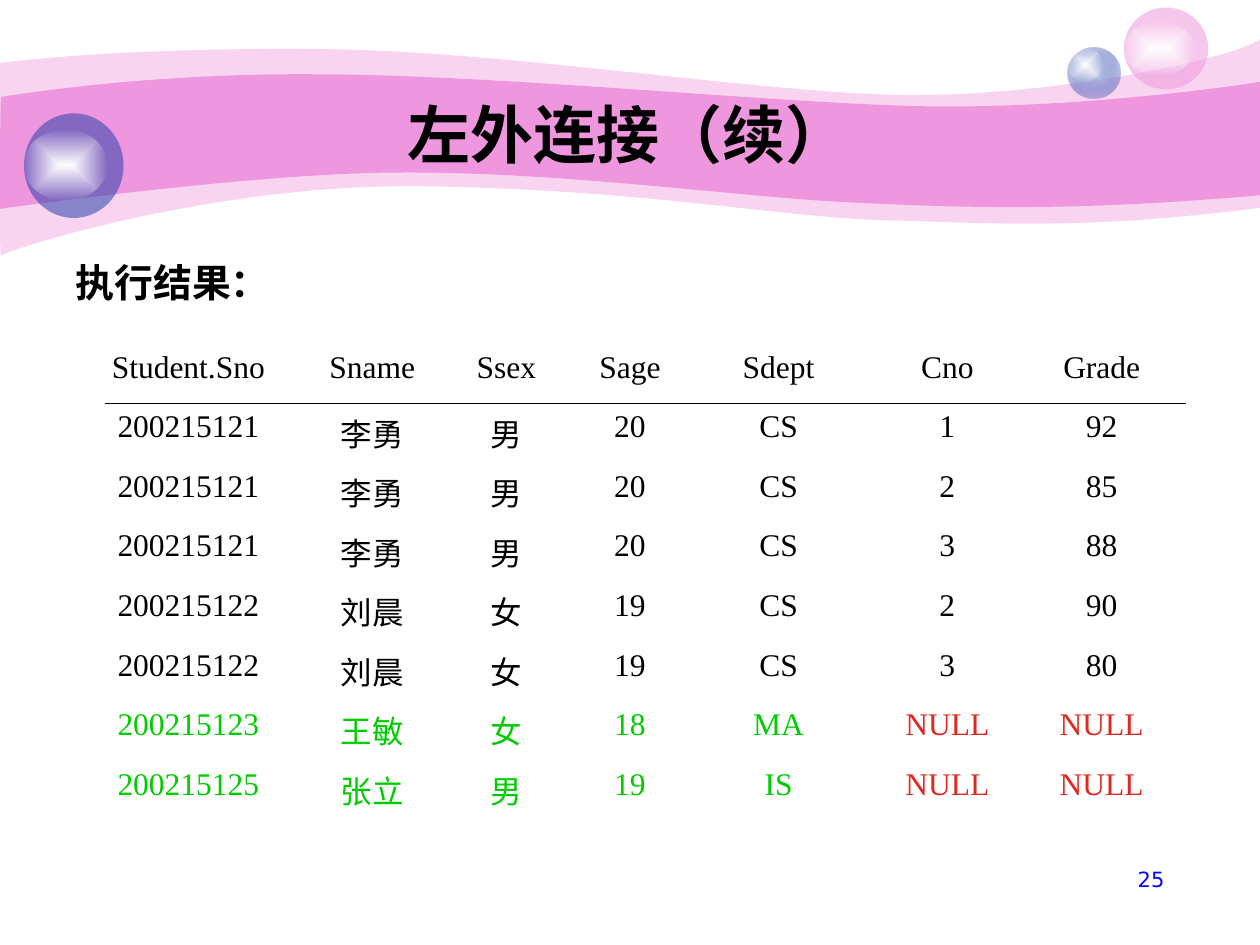
import lxml.etree
import pptx
import pptx.dml.color
import pptx.enum.shapes
import pptx.enum.text
import pptx.oxml
import pptx.oxml.ns
import pptx.util
from dataclasses import dataclass

Inches = pptx.util.Inches
ALIGN = pptx.enum.text.PP_ALIGN
ANCHOR = pptx.enum.text.MSO_ANCHOR
qn = pptx.oxml.ns.qn


@dataclass(frozen=True)
class Theme:
    """Colours, fonts and type sizes of the slide."""
    pink: str = "EF97DE"
    blue: str = "233DA9"
    pale_blue: str = "C7CEE9"
    white: str = "FFFFFF"
    black: str = "000000"
    green: str = "00CC00"
    red: str = "E02920"
    page_blue: str = "0000FF"
    heading_font: str = "Arial"
    table_font: str = "Times New Roman"
    page_font: str = "DejaVu Sans"
    title_size: float = 36
    body_size: float = 22.2
    table_size: float = 18
    page_size: float = 12


T = Theme()
OUTER_WAVE = [
    [(0, 0.5)],
    [(0.24, 0.47), (1.07, 0.38), (2.47, 0.39)],
    [(3.86, 0.39), (5.75, 0.7), (6.99, 0.75)],
    [(8.22, 0.8), (9.8, 0.47), (10, 0.31)],
    [(10, 1.65)],
    [(8.58, 1.83), (7.87, 1.77), (7.05, 1.75)],
    [(6.22, 1.73), (5.15, 1.51), (3.43, 1.48)],
    [(1.72, 1.44), (0.04, 1.99), (0.01, 2.03)],
    [(-0.01, 2.08), (0, 0.75), (0, 0.5)],
]
INNER_WAVE = [
    [(0.01, 0.77)],
    [(0.02, 0.77), (1.1, 0.58), (2.48, 0.59)],
    [(3.86, 0.59), (5.95, 0.8), (7.18, 0.84)],
    [(8.41, 0.88), (9.76, 0.69), (10, 0.65)],
    [(10, 1.55)],
    [(8.53, 1.68), (7.65, 1.65), (6.82, 1.61)],
    [(5.99, 1.58), (4.47, 1.36), (3.17, 1.37)],
    [(2.03, 1.37), (-0.02, 1.66), (-0.01, 1.66)],
    [(0, 1.66), (0, 0.77), (0.01, 0.77)],
]
HEADER = ["Student.Sno", "Sname", "Ssex", "Sage", "Sdept", "Cno", "Grade"]
ROWS = [
    ["200215121", "李勇", "男", "20", "CS", "1", "92"],
    ["200215121", "李勇", "男", "20", "CS", "2", "85"],
    ["200215121", "李勇", "男", "20", "CS", "3", "88"],
    ["200215122", "刘晨", "女", "19", "CS", "2", "90"],
    ["200215122", "刘晨", "女", "19", "CS", "3", "80"],
    ["200215123", "王敏", "女", "18", "MA", "NULL", "NULL"],
    ["200215125", "张立", "男", "19", "IS", "NULL", "NULL"],
]
COLUMNS = [1.81, 1.11, 1.02, 0.94, 1.42, 1.26, 1.19]


def rgb(value):
    """Return a colour object for a hex string."""
    return pptx.dml.color.RGBColor.from_string(value)


def set_text(tf, text, font, size, color, align, bold=False):
    """Write one formatted paragraph into a text frame."""
    p = tf.paragraphs[0]
    for name, value in dict(alignment=align, space_before=pptx.util.Pt(0)).items():
        setattr(p, name, value)
    r = p.add_run()
    r.text = text
    fmt = dict(name=font, size=pptx.util.Pt(size), bold=bold)
    for name, value in fmt.items():
        setattr(r.font, name, value)
    r.font.color.rgb = rgb(color)
    return p


def set_fill(sp, color, alpha=100):
    """Give a shape a plain, possibly transparent fill without line or shadow."""
    sp.shadow.inherit = False
    sp.line.fill.background()
    sp.fill.solid()
    sp.fill.fore_color.rgb = rgb(color)
    if alpha < 100:
        clr = sp.element.spPr.find(".//" + qn("a:srgbClr"))
        lxml.etree.SubElement(clr, qn("a:alpha"), val=str(alpha * 1000))


def set_glow(sp, inner, outer, alpha):
    """Replace a shape's fill with a gradient fading out from its centre."""
    set_fill(sp, inner)
    spPr = sp.element.spPr
    grad = pptx.oxml.parse_xml(
        '<a:gradFill xmlns:a="http://schemas.openxmlformats.org/drawingml/2006/main"'
        f' rotWithShape="1"><a:gsLst><a:gs pos="0"><a:srgbClr val="{inner}"/></a:gs>'
        f'<a:gs pos="100000"><a:srgbClr val="{outer}"><a:alpha val="{alpha * 1000}"/>'
        '</a:srgbClr></a:gs></a:gsLst><a:path path="rect"><a:fillToRect l="50000"'
        ' t="50000" r="50000" b="50000"/></a:path></a:gradFill>')
    spPr.replace(spPr.find(qn("a:solidFill")), grad)


def add_wave(s, outline, alpha=100):
    """Draw a closed band whose three-point segments are cubic curves."""
    start, *segments = outline
    builder = s.shapes.build_freeform(*map(Inches, start[0]), scale=1.0)
    builder.add_line_segments(
        [tuple(map(Inches, point)) for segment in segments for point in segment], close=True)
    sp = builder.convert_to_shape()
    lines = iter(sp.element.findall(".//" + qn("a:lnTo")))
    for segment in segments:
        first, *others = [next(lines) for _ in segment]
        if others:
            first.tag = qn("a:cubicBezTo")
            for line in others:
                first.append(line[0])
                line.getparent().remove(line)
    set_fill(sp, T.pink, alpha)


def add_ellipse(group, box):
    """Add an ellipse in the given box."""
    oval = pptx.enum.shapes.MSO_SHAPE.OVAL
    return group.shapes.add_shape(oval, *map(Inches, box))


def add_ball(s, box, shine, color, alpha, core=None):
    """Draw a ball grouped with the white shine on it."""
    group = s.shapes.add_group_shape()
    ball = add_ellipse(group, box)
    if core:
        set_glow(ball, core, color, alpha)
    else:
        set_fill(ball, color, alpha)
    set_glow(add_ellipse(group, shine), T.white, T.white, 0)


def add_banner(s):
    """Draw the waves and balls behind the title."""
    add_wave(s, OUTER_WAVE, 41)
    add_wave(s, INNER_WAVE)
    add_ball(s, (8.47, 0.38, 0.42, 0.4), (8.47, 0.38, 0.28, 0.27), T.blue, 31, T.pale_blue)
    add_ball(s, (8.92, 0.06, 0.67, 0.65), (8.92, 0.17, 0.56, 0.43), T.pink, 53)
    add_ball(s, (0.19, 0.9, 0.79, 0.83), (0.19, 1.03, 0.66, 0.56), T.blue, 53)


def place_heading(sp, box, text, size, align, anchor):
    """Move a placeholder to the front and to its box, and write a bold heading."""
    sp.element.getparent().append(sp.element)
    for name, value in zip(("left", "top", "width", "height"), box):
        setattr(sp, name, Inches(value))
    tf = sp.text_frame
    fmt = dict(auto_size=pptx.enum.text.MSO_AUTO_SIZE.NONE, word_wrap=True,
               vertical_anchor=anchor)
    for name, value in fmt.items():
        setattr(tf, name, value)
    p = set_text(tf, text, T.heading_font, size, T.black, align, True)
    pPr = p._p.get_or_add_pPr()
    for name in ("marL", "indent"):
        pPr.set(name, "0")
    lxml.etree.SubElement(pPr, qn("a:buNone"))


def add_result_table(s, box):
    """Add the query result, colouring unmatched rows, with a rule below the header."""
    left, top, width, height = box
    rows = [HEADER] + ROWS
    table = s.shapes.add_table(len(rows), len(HEADER), *map(Inches, box)).table
    for name in ("first_row", "horz_banding"):
        setattr(table, name, False)
    for column, w in zip(table.columns, COLUMNS):
        column.width = Inches(w)
    for i, row in enumerate(rows):
        for j, text in enumerate(row):
            cell = table.cell(i, j)
            cell.fill.background()
            color = T.red if text == "NULL" else T.green if "NULL" in row else T.black
            set_text(cell.text_frame, text, T.table_font, T.table_size, color, ALIGN.CENTER)
    y = Inches(top + height / len(rows))
    rule = s.shapes.add_connector(
        pptx.enum.shapes.MSO_CONNECTOR.STRAIGHT, Inches(0.83), y, Inches(9.41), y)
    rule.line.color.rgb = rgb(T.black)
    rule.line.width = pptx.util.Pt(0.75)
    lxml.etree.SubElement(rule.element.spPr, qn("a:effectLst"))


def add_page_number(s, box, text):
    """Write the page number at the right of its box."""
    tf = s.shapes.add_textbox(*map(Inches, box)).text_frame
    tf.word_wrap = True
    set_text(tf, text, T.page_font, T.page_size, T.page_blue, ALIGN.RIGHT)


def main():
    """Build and save the slide."""
    prs = pptx.Presentation()
    prs.slide_width, prs.slide_height = Inches(10), Inches(7.5)
    s = prs.slides.add_slide(prs.slide_layouts[1])
    add_banner(s)
    place_heading(s.shapes.title, (1, 0.75, 8.08, 0.62), "左外连接（续） ",
                  T.title_size, ALIGN.CENTER, ANCHOR.MIDDLE)
    place_heading(s.placeholders[1], (0.5, 2, 4.42, 0.49), "执行结果： ",
                  T.body_size, ALIGN.JUSTIFY, ANCHOR.TOP)
    add_result_table(s, (0.59, 2.73, 8.75, 3.78))
    add_page_number(s, (7.17, 6.83, 2.17, 0.52), "25")
    prs.save("out.pptx")


if __name__ == "__main__":
    main()
